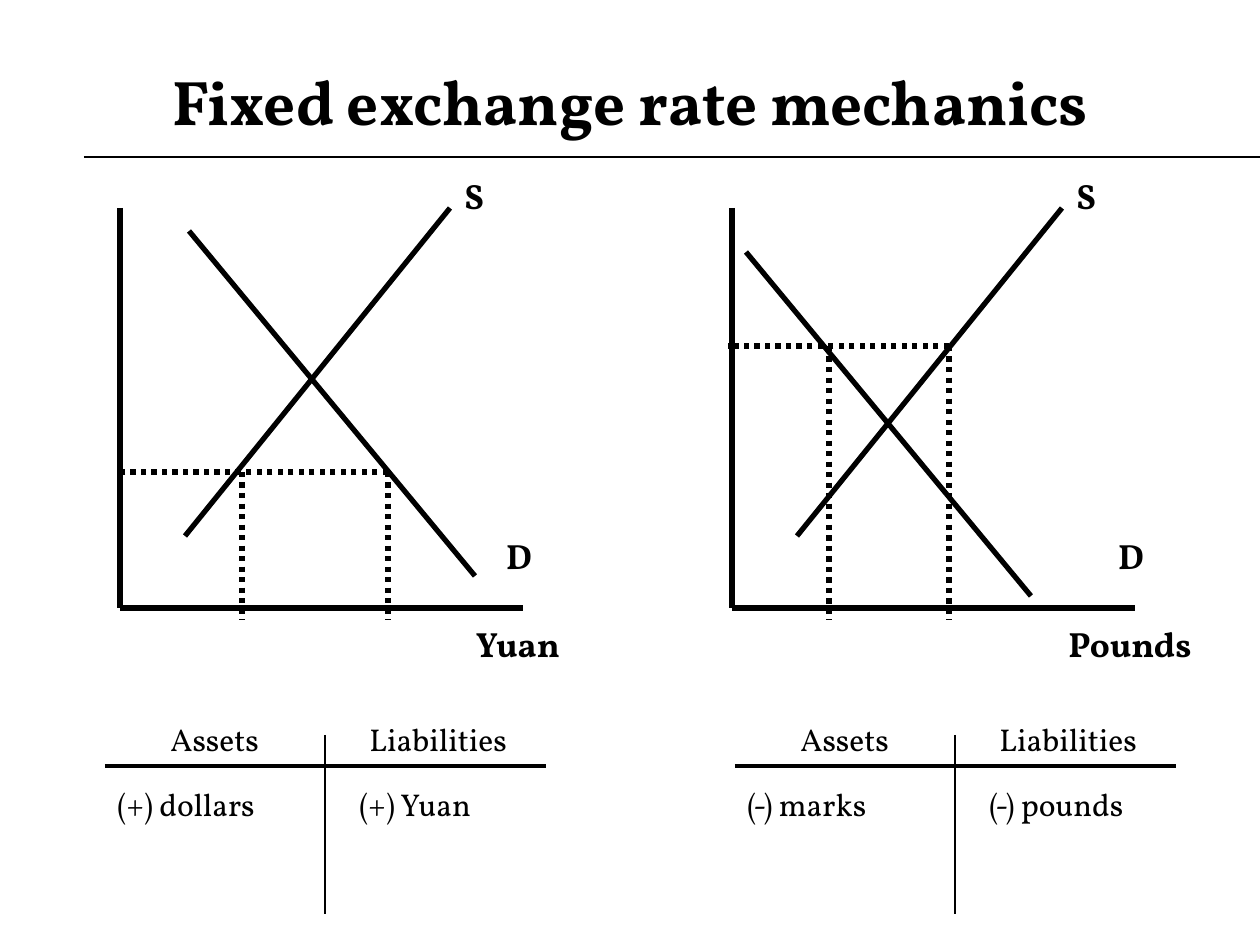
import pptx
import pptx.util
import pptx.dml.color
import pptx.enum.dml
import pptx.enum.shapes
import pptx.enum.text
import pptx.oxml.ns
import lxml.etree

FONT = "Vollkorn"
INK = "000000"
TITLE = "Fixed exchange rate mechanics"
RULES = [(84, 157, 1260, 157), (158, 157, 1260, 157)]

GRAPHS = [
    {"left": 120, "name": "Yuan", "demand": (69, 231, 355, 576),
     "price": 472, "drops": (122, 268)},
    {"left": 732, "name": "Pounds", "demand": (14, 252, 299, 596),
     "price": 346, "drops": (97, 217)},
]
AXES = [(0, 208, 0, 608), (0, 608, 403, 608)]
SUPPLY = (65, 536, 330, 208)
FOOT = 620

BOOKS = [
    {"left": 105, "asset": "(+) dollars", "debt": "(+) Yuan"},
    {"left": 735, "asset": "(-) marks", "debt": "(-) pounds"},
]


def px(n):
    return pptx.util.Emu(round(n * 914400 / 126))


def tint(code):
    return pptx.dml.color.RGBColor.from_string(code)


def style(run, size, bold=False):
    run.font.name = FONT
    run.font.size = pptx.util.Pt(size)
    run.font.bold = bold
    run.font.color.rgb = tint(INK)


def draw(home, ends, width, left=0, dots=False):
    x1, y1, x2, y2 = ends
    line = home.add_connector(
        pptx.enum.shapes.MSO_CONNECTOR.STRAIGHT,
        px(left + x1), px(y1), px(left + x2), px(y2))
    line.line.width = pptx.util.Pt(width)
    line.line.color.rgb = tint(INK)
    if dots:
        line.line.dash_style = pptx.enum.dml.MSO_LINE.ROUND_DOT
    lxml.etree.SubElement(line._element.spPr, pptx.oxml.ns.qn("a:effectLst"))


def label(home, text, box, size, bold=False, mid=False):
    frame = home.add_textbox(*map(px, box)).text_frame
    frame.word_wrap = True
    frame.auto_size = pptx.enum.text.MSO_AUTO_SIZE.SHAPE_TO_FIT_TEXT
    para = frame.paragraphs[0]
    align = pptx.enum.text.PP_ALIGN
    para.alignment = align.CENTER if mid else align.LEFT
    run = para.add_run()
    run.text = text
    style(run, size, bold)


def graph(slide, data):
    home = slide.shapes.add_group_shape().shapes
    left, price, drops = data["left"], data["price"], data["drops"]
    for ends in AXES + [data["demand"], SUPPLY]:
        draw(home, ends, 3, left)
    draw(home, (max(drops), price, -4, price), 3, left, True)
    for x in drops:
        draw(home, (x, price, x, FOOT), 3, left, True)
    for text, x, y, wide in [("S", 314, 168, 80), ("D", 359, 528, 80),
                             (data["name"], 321, 616, 154)]:
        label(home, text, (left + x, y, wide, 54), 20, True, True)


def book(slide, data):
    home = slide.shapes.add_group_shape().shapes
    left = data["left"]
    draw(home, (0, 766, 441, 766), 1.75, left)
    draw(home, (220, 735, 220, 914), 1.5, left)
    for text, x, y, wide in [("Assets", 53, 714, 126),
                             ("Liabilities", 252, 714, 168),
                             (data["asset"], 0, 779, 179),
                             (data["debt"], 242, 779, 179)]:
        label(home, text, (left + x, y, wide, 50), 18)


def main():
    deck = pptx.Presentation()
    deck.slide_width, deck.slide_height = px(1260), px(945)
    slide = deck.slides.add_slide(deck.slide_layouts[5])
    for ends in RULES:
        draw(slide.shapes, ends, 0.75)
    head = slide.shapes.title
    head.left, head.top, head.width, head.height = map(px, (63, 42, 1134, 116))
    head.text_frame.vertical_anchor = pptx.enum.text.MSO_ANCHOR.MIDDLE
    para = head.text_frame.paragraphs[0]
    para.alignment = pptx.enum.text.PP_ALIGN.CENTER
    run = para.add_run()
    run.text = TITLE
    style(run, 36, True)
    for data in GRAPHS:
        graph(slide, data)
    for data in BOOKS:
        book(slide, data)
    deck.save("out.pptx")


if __name__ == "__main__":
    main()
